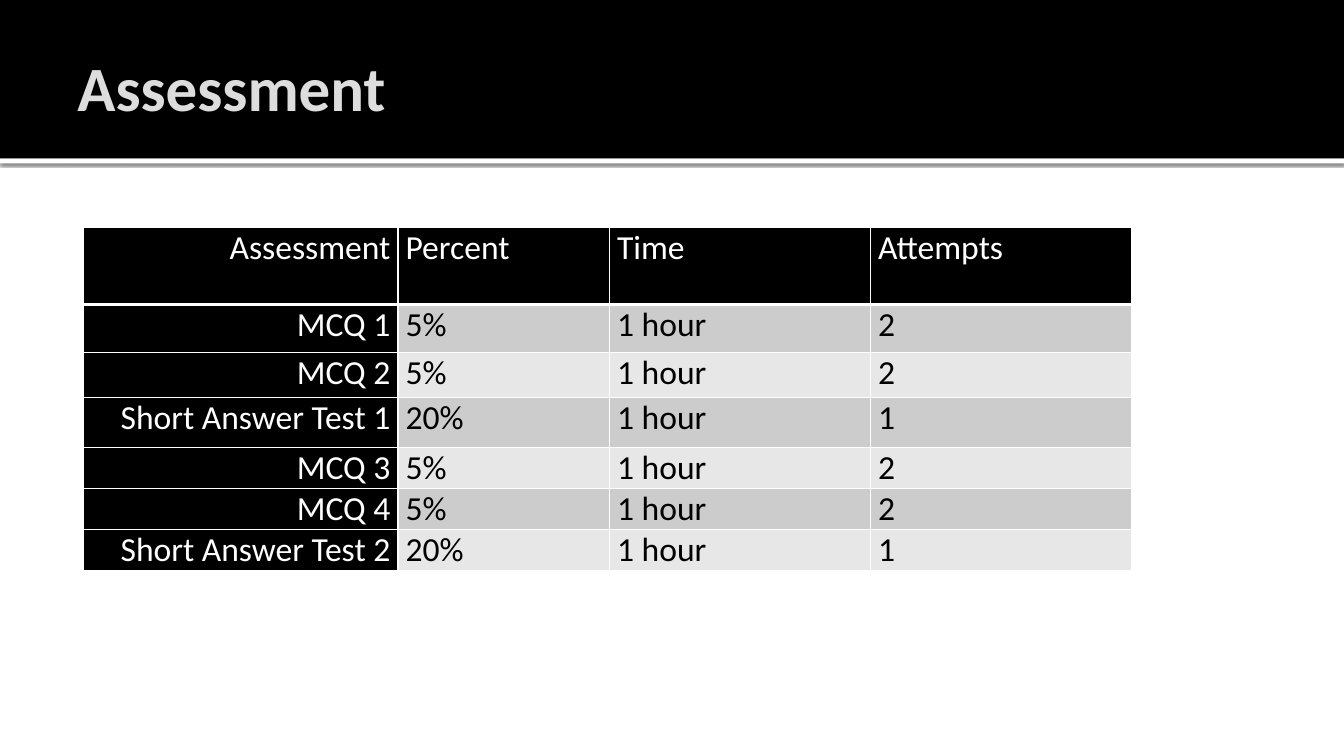
import pptx
import pptx.util
import pptx.dml.color
import pptx.enum.shapes
import pptx.enum.text
import pptx.oxml
import pptx.oxml.ns

Cm = pptx.util.Cm
Pt = pptx.util.Pt
FONT = "Calibri"
COLORS = {
    "black": "000000",
    "white": "FFFFFF",
    "title": "DDDDDD",
    "odd": "CCCCCC",
    "even": "E7E7E7",
}
COLUMN_WIDTHS = [7.92, 5.33, 6.58, 6.58]
ROW_HEIGHTS = [1.93, 1.22, 1.12, 1.27, 0.97, 0.97, 0.97]
ASSESSMENTS = [
    ["Assessment", "Percent", "Time", "Attempts"],
    ["MCQ 1", "5%", "1 hour", "2"],
    ["MCQ 2", "5%", "1 hour", "2"],
    ["Short Answer Test 1", "20%", "1 hour", "1"],
    ["MCQ 3", "5%", "1 hour", "2"],
    ["MCQ 4", "5%", "1 hour", "2"],
    ["Short Answer Test 2", "20%", "1 hour", "1"],
]


def color(name):
    return pptx.dml.color.RGBColor.from_string(COLORS[name])


def set_font(paragraph, size, color_name, bold=False):
    paragraph.font.name = FONT
    paragraph.font.size = Pt(size)
    paragraph.font.bold = bold
    paragraph.font.color.rgb = color(color_name)


def add_band(slide, left, top, width, height, fill):
    band = slide.shapes.add_shape(
        pptx.enum.shapes.MSO_SHAPE.RECTANGLE, Cm(left), Cm(top), Cm(width), Cm(height)
    )
    band.shadow.inherit = False
    band.fill.solid()
    band.fill.fore_color.rgb = color(fill)
    band.line.fill.background()
    return band


def add_shadow(shape):
    effects = shape._element.spPr.find(pptx.oxml.ns.qn("a:effectLst"))
    effects.append(pptx.oxml.parse_xml(
        f'<a:outerShdw {pptx.oxml.ns.nsdecls("a")} blurRad="{Pt(2.5)}" dist="{Pt(0.8)}" '
        f'dir="5400000" algn="tl" rotWithShape="0"><a:srgbClr val="{COLORS["black"]}">'
        '<a:alpha val="60000"/></a:srgbClr></a:outerShdw>'
    ))


def add_header(slide, left, top, width, height):
    strip = add_band(slide, left, top + height, width, 0.13, "white")
    add_shadow(strip)
    banner = add_band(slide, left, top, width, height, "black")

    title = slide.shapes.title
    banner._element.addnext(title._element)
    title.left, title.top = Cm(left + 1.7), Cm(top + 0.43)
    title.width, title.height = Cm(width - 3.39), Cm(height - 0.51)
    frame = title.text_frame
    frame.text = "Assessment"
    frame.word_wrap = True
    frame.auto_size = pptx.enum.text.MSO_AUTO_SIZE.NONE
    frame.vertical_anchor = pptx.enum.text.MSO_ANCHOR.MIDDLE
    frame.margin_left = Cm(0.25)
    frame.margin_right = frame.margin_top = frame.margin_bottom = Cm(0.13)
    paragraph = frame.paragraphs[0]
    paragraph.alignment = pptx.enum.text.PP_ALIGN.LEFT
    set_font(paragraph, 45, "title", bold=True)


def set_borders(cell, widths):
    properties = cell._tc.get_or_add_tcPr()
    for edge, width in widths.items():
        properties.append(pptx.oxml.parse_xml(
            f'<a:ln{edge} {pptx.oxml.ns.nsdecls("a")} w="{Pt(width)}"><a:solidFill>'
            f'<a:srgbClr val="{COLORS["white"]}"/></a:solidFill></a:ln{edge}>'
        ))


def format_cell(cell, text, row, column):
    is_heading = row == 0 or column == 0
    widths = {"L": 1, "R": 1, "T": 1, "B": 3 if row == 0 else 1}
    if row == 1:
        del widths["T"]
    set_borders(cell, widths)
    cell.fill.solid()
    cell.fill.fore_color.rgb = color("black" if is_heading else "odd" if row % 2 else "even")
    cell.margin_left = cell.margin_right = Cm(0.19)
    cell.margin_top = cell.margin_bottom = 0
    cell.text = text
    paragraph = cell.text_frame.paragraphs[0]
    alignments = pptx.enum.text.PP_ALIGN
    paragraph.alignment = alignments.RIGHT if column == 0 else alignments.LEFT
    set_font(paragraph, 24, "white" if is_heading else "black")


def add_assessment_table(slide, left, top):
    table = slide.shapes.add_table(
        len(ROW_HEIGHTS), len(COLUMN_WIDTHS), Cm(left), Cm(top),
        Cm(sum(COLUMN_WIDTHS)), Cm(sum(ROW_HEIGHTS)),
    ).table
    for column, width in zip(table.columns, COLUMN_WIDTHS):
        column.width = Cm(width)
    for row, height in zip(table.rows, ROW_HEIGHTS):
        row.height = Cm(height)
    for row, texts in enumerate(ASSESSMENTS):
        for column, text in enumerate(texts):
            format_cell(table.cell(row, column), text, row, column)


def main():
    presentation = pptx.Presentation()
    presentation.slide_width = Cm(33.87)
    presentation.slide_height = Cm(19.05)
    slide = presentation.slides.add_slide(presentation.slide_layouts.get_by_name("Title Only"))
    add_header(slide, 0, 0, 33.87, 3.99)
    add_assessment_table(slide, 2.11, 5.74)
    presentation.save("out.pptx")


if __name__ == "__main__":
    main()
